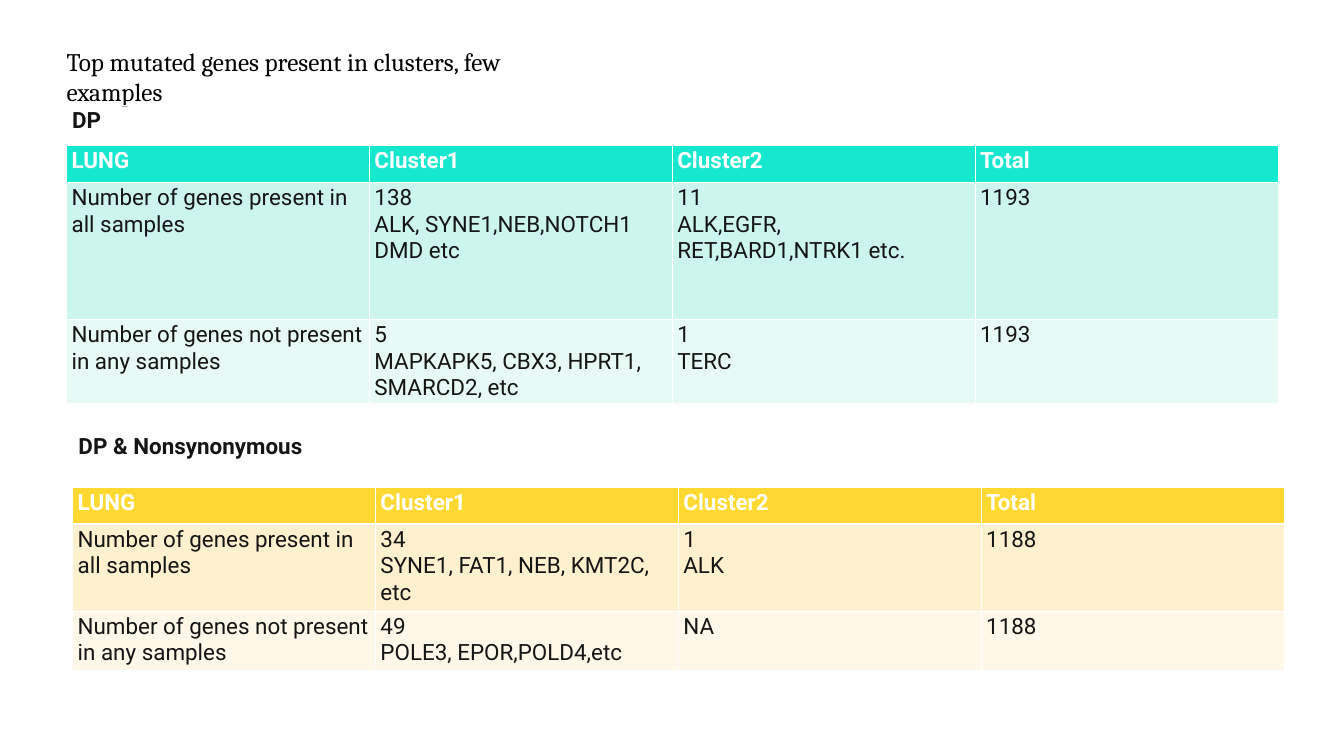
import pptx
import pptx.dml.color
import pptx.enum.text
import pptx.oxml
import pptx.oxml.ns
import pptx.util

Inches = pptx.util.Inches
Pt = pptx.util.Pt
WHITE = "FFFFFF"
INK = "151515"


def color(value):
    return pptx.dml.color.RGBColor.from_string(value)


class GeneSlide:
    body_font = "Roboto"
    title_font = "Cambria"
    body_size = 32
    title_size = 36

    def __init__(self, presentation):
        self.slide = presentation.slides.add_slide(presentation.slide_layouts[6])

    def format_text(self, text_frame, font_name, size, font_color, bold=False, alignment=None):
        for paragraph in text_frame.paragraphs:
            paragraph.alignment = alignment
            for run in paragraph.runs:
                run.font.name = font_name
                run.font.size = Pt(size)
                run.font.bold = bold
                run.font.color.rgb = color(font_color)

    def set_borders(self, cell, bottom_width):
        properties = cell._tc.get_or_add_tcPr()
        widths = {"lnL": 1, "lnR": 1, "lnT": 1, "lnB": bottom_width}
        for position, (side, width) in enumerate(widths.items()):
            border = pptx.oxml.parse_xml(
                f'<a:{side} {pptx.oxml.ns.nsdecls("a")} w="{Pt(width)}">'
                f'<a:solidFill><a:srgbClr val="{WHITE}"/></a:solidFill></a:{side}>'
            )
            properties.insert(position, border)

    def add_title(self, text, left, top, width, height):
        shape = self.slide.shapes.add_textbox(
            Inches(left), Inches(top), Inches(width), Inches(height)
        )
        text_frame = shape.text_frame
        text_frame.word_wrap = True
        text_frame.margin_left = text_frame.margin_right = 0
        text_frame.margin_top = text_frame.margin_bottom = 0
        text_frame.text = text
        self.format_text(text_frame, self.title_font, self.title_size, "000000")

    def add_grid(self, rows, left, top, width, heights):
        columns = len(rows[0])
        table = self.slide.shapes.add_table(
            len(rows), columns, Inches(left), Inches(top), Inches(width), Inches(sum(heights))
        ).table
        table.first_row = table.horz_banding = False
        for column in table.columns:
            column.width = Inches(width / columns)
        for row, height in zip(table.rows, heights):
            row.height = Inches(height)
        for row, texts in zip(table.rows, rows):
            for cell, text in zip(row.cells, texts):
                cell.text_frame.text = text
        return table

    def add_gene_table(self, rows, left, top, heights, fills):
        table = self.add_grid(rows, left, top, 24.03, heights)
        for index, (row, fill) in enumerate(zip(table.rows, fills)):
            header = index == 0
            for cell in row.cells:
                cell.fill.solid()
                cell.fill.fore_color.rgb = color(fill)
                self.set_borders(cell, 3 if header else 1)
                self.format_text(
                    cell.text_frame, self.body_font, self.body_size,
                    WHITE if header else INK, header,
                )

    def add_label(self, text, top, width):
        cell = self.add_grid([[text]], 0.45, top, width, [0.65]).cell(0, 0)
        cell.fill.background()
        self.set_borders(cell, 3)
        self.format_text(
            cell.text_frame, self.body_font, self.body_size, INK, True,
            pptx.enum.text.PP_ALIGN.CENTER,
        )


def main():
    presentation = pptx.Presentation()
    presentation.slide_width = Inches(26.66)
    presentation.slide_height = Inches(15)
    gene_slide = GeneSlide(presentation)

    header = ["LUNG", "Cluster1", "Cluster2", "Total"]
    present = "Number of genes present in all samples"
    absent = "Number of genes not present in any samples"
    depth_rows = [
        header,
        [present, "138\nALK, SYNE1,NEB,NOTCH1\nDMD etc",
         "11\nALK,EGFR, RET,BARD1,NTRK1 etc.", "1193"],
        [absent, "5\nMAPKAPK5, CBX3, HPRT1,\nSMARCD2, etc", "1\nTERC", "1193"],
    ]
    nonsynonymous_rows = [
        header,
        [present, "34\nSYNE1, FAT1, NEB, KMT2C, etc", "1\nALK", "1188"],
        [absent, "49\nPOLE3, EPOR,POLD4,etc", "NA", "1188"],
    ]

    gene_slide.add_gene_table(
        depth_rows, 1.32, 2.88, [0.74, 2.72, 1.66], ["16E7CF", "CCF6ED", "E8FAF6"]
    )
    gene_slide.add_title(
        "Top mutated genes present in clusters, few examples", 1.32, 0.92, 9.48, 1.21
    )
    gene_slide.add_gene_table(
        nonsynonymous_rows, 1.44, 9.66, [0.74, 1.73, 1.17], ["FFD932", "FFF1CE", "FFF8E8"]
    )
    gene_slide.add_label("DP", 2.09, 2.54)
    gene_slide.add_label("DP & Nonsynonymous", 8.55, 6.66)
    presentation.save("out.pptx")


if __name__ == "__main__":
    main()
